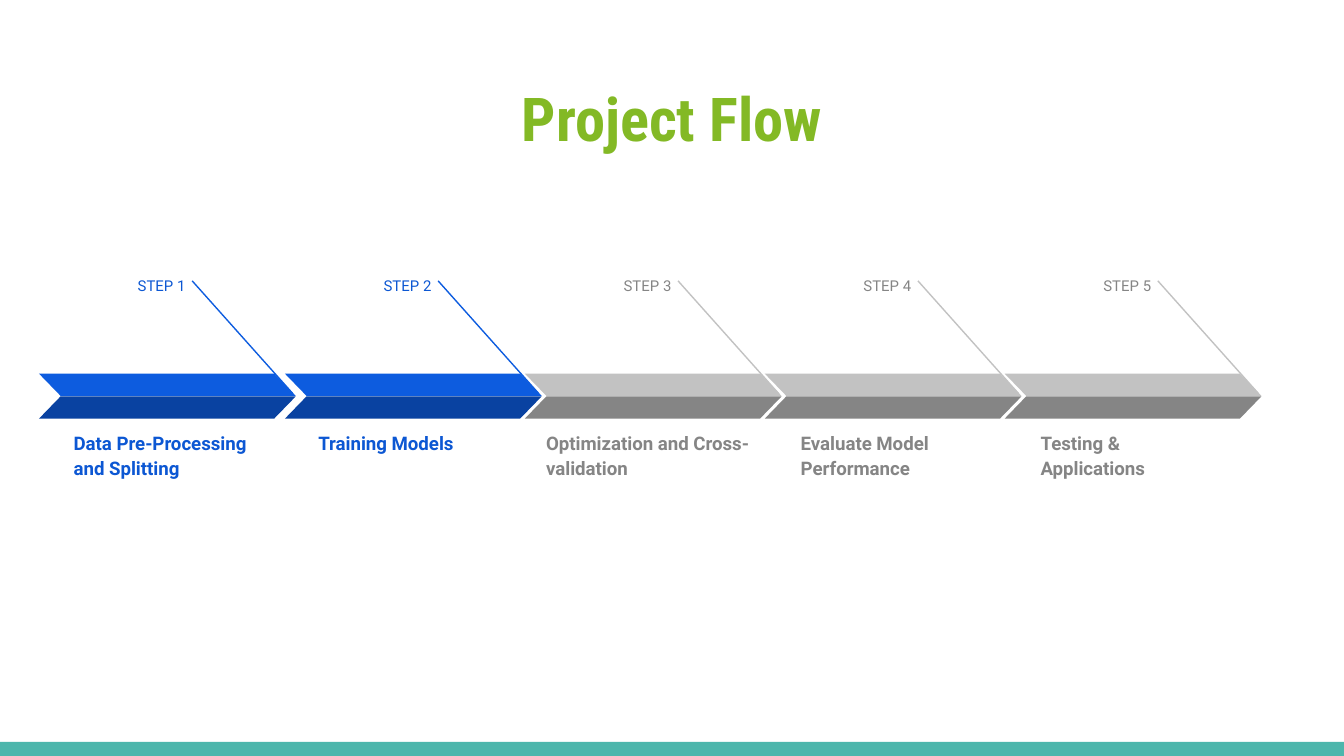
import dataclasses

import lxml.etree
import pptx
import pptx.dml.color
import pptx.enum.shapes
import pptx.enum.text
import pptx.oxml.ns
import pptx.util

PX = pptx.util.Inches(1) // 200
WHITE = pptx.dml.color.RGBColor(0xFF, 0xFF, 0xFF)
TEAL = pptx.dml.color.RGBColor(0x4D, 0xB6, 0xAC)
GREEN = pptx.dml.color.RGBColor(0x83, 0xB9, 0x25)
BLUE_TEXT = pptx.dml.color.RGBColor(0x0C, 0x57, 0xD3)
BLUE = pptx.dml.color.RGBColor(0x0D, 0x5C, 0xDF)
DARK_BLUE = pptx.dml.color.RGBColor(0x09, 0x42, 0xA1)
LIGHT_GREY = pptx.dml.color.RGBColor(0xC2, 0xC2, 0xC2)
GREY = pptx.dml.color.RGBColor(0x85, 0x85, 0x85)

Shapes = pptx.enum.shapes.MSO_SHAPE
Align = pptx.enum.text.PP_ALIGN
Anchor = pptx.enum.text.MSO_ANCHOR

FIRST_LEFT = 58
SECOND_LEFT = 424
STEP_PITCH = 357
ARROW_WIDTH = 382
HALF_HEIGHT = 33
UPPER_TOP = 556
LOWER_TOP = 590
STEM_TOP = 418


@dataclasses.dataclass(frozen=True)
class Palette:
    text: pptx.dml.color.RGBColor
    upper: pptx.dml.color.RGBColor
    lower: pptx.dml.color.RGBColor


@dataclasses.dataclass(frozen=True)
class Step:
    caption: str
    palette: Palette
    caption_indent: int = 34
    caption_width: int = 314
    caption_height: int = 112


DONE = Palette(BLUE_TEXT, BLUE, DARK_BLUE)
PENDING = Palette(GREY, LIGHT_GREY, GREY)

STEPS = [
    Step("Data Pre-Processing and Splitting", DONE, 32, 346),
    Step("Training Models", DONE, 30, caption_height=74),
    Step("Optimization and Cross-validation", PENDING, 12, 350),
    Step("Evaluate Model Performance", PENDING),
    Step("Testing & Applications", PENDING),
]


def box(left: int, top: int, width: int, height: int) -> tuple[int, ...]:
    return tuple(length * PX for length in (left, top, width, height))


def add_text(slide, text: str, bounds: tuple[int, ...], *, size: float, color,
             font: str = "Roboto", bold: bool = False, align=Align.LEFT,
             anchor=Anchor.TOP, line_spacing: float = 1.0, space_after: int = 0) -> None:
    frame = slide.shapes.add_textbox(*bounds).text_frame
    frame.word_wrap = True
    frame.vertical_anchor = anchor
    frame.margin_left = frame.margin_right = 20 * PX
    frame.margin_top = frame.margin_bottom = 20 * PX
    paragraph = frame.paragraphs[0]
    paragraph.alignment = align
    paragraph.line_spacing = line_spacing
    paragraph.space_after = pptx.util.Pt(space_after)
    run = paragraph.add_run()
    run.text = text
    run.font.name = font
    run.font.size = pptx.util.Pt(size)
    run.font.bold = bold
    run.font.color.rgb = color


def add_filled(slide, kind, bounds: tuple[int, ...], color):
    shape = slide.shapes.add_shape(kind, *bounds)
    shape.shadow.inherit = False
    shape.fill.solid()
    shape.fill.fore_color.rgb = color
    shape.line.fill.background()
    return shape


def add_arrow_half(slide, left: int, top: int, color, flipped: bool) -> None:
    shape = add_filled(slide, Shapes.PARALLELOGRAM,
                       box(left, top, ARROW_WIDTH, HALF_HEIGHT), color)
    shape.adjustments[0] = 0.97
    if flipped:
        shape._element.spPr.xfrm.set("flipH", "1")


def add_stem(slide, left: int, color) -> None:
    stem = slide.shapes.add_connector(
        pptx.enum.shapes.MSO_CONNECTOR.STRAIGHT,
        (left + 228) * PX, STEM_TOP * PX, (left + 378) * PX, 586 * PX)
    stem.line.color.rgb = color
    stem.line.width = pptx.util.Pt(0.75)
    lxml.etree.SubElement(stem._element.spPr, pptx.oxml.ns.qn("a:effectLst"))


def add_step(slide, index: int, step: Step) -> None:
    left = SECOND_LEFT + (index - 1) * STEP_PITCH if index else FIRST_LEFT
    palette = step.palette
    add_text(slide, f"STEP {index + 1}", box(left + 108, 392, 130, 54), size=8,
             color=palette.text, align=Align.RIGHT, line_spacing=1.15, space_after=16)
    add_text(slide, step.caption,
             box(left + step.caption_indent, 622, step.caption_width, step.caption_height),
             size=10, color=palette.text, bold=True, anchor=Anchor.BOTTOM,
             line_spacing=1.15)
    add_stem(slide, left, palette.upper)
    add_arrow_half(slide, left, UPPER_TOP, palette.upper, flipped=True)
    add_arrow_half(slide, left, LOWER_TOP, palette.lower, flipped=False)


def main() -> None:
    presentation = pptx.Presentation()
    presentation.slide_width = 2000 * PX
    presentation.slide_height = 1125 * PX
    slide = presentation.slides.add_slide(presentation.slide_layouts[6])
    slide.background.fill.solid()
    slide.background.fill.fore_color.rgb = WHITE
    add_filled(slide, Shapes.RECTANGLE, box(0, 1104, 2000, 21), TEAL)
    add_text(slide, "Project Flow", box(68, 98, 1864, 154), size=32.4, color=GREEN,
             font="Roboto Condensed", bold=True, align=Align.CENTER,
             anchor=Anchor.MIDDLE)
    for index, step in enumerate(STEPS):
        add_step(slide, index, step)
    presentation.save("out.pptx")


if __name__ == "__main__":
    main()
